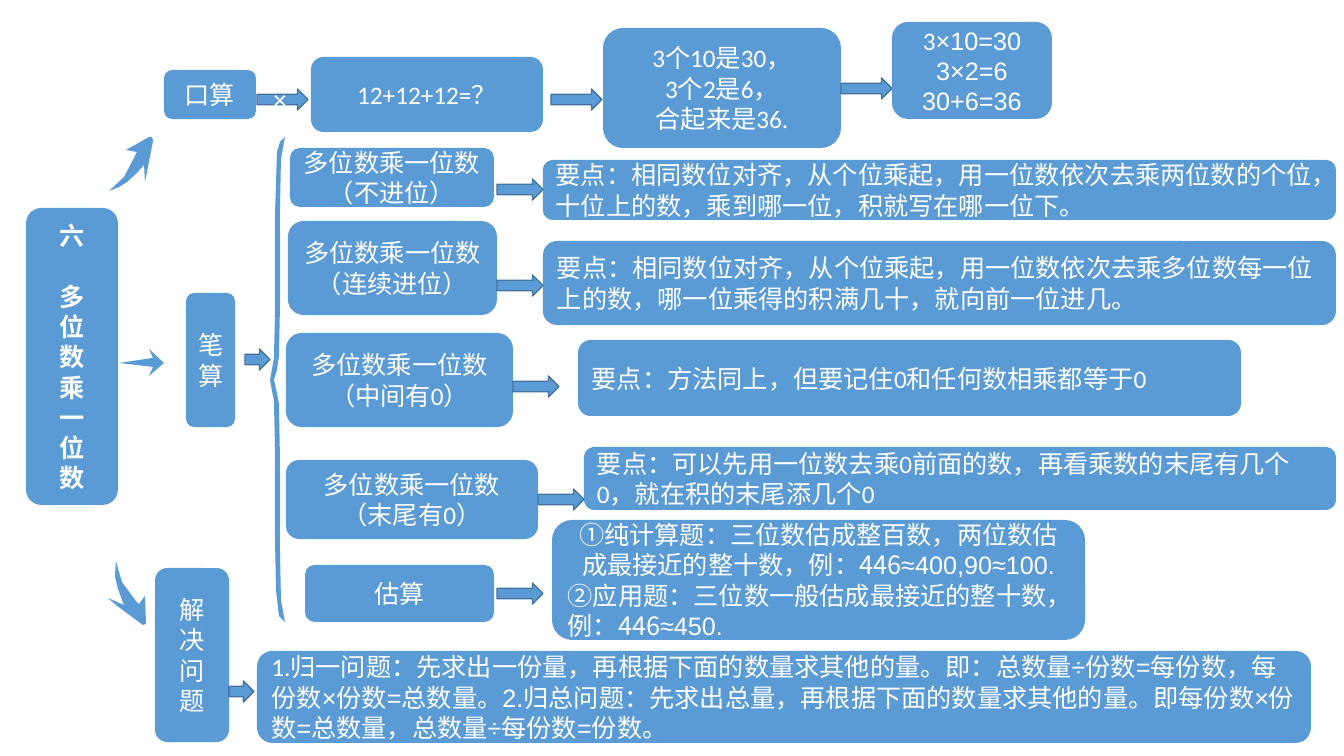
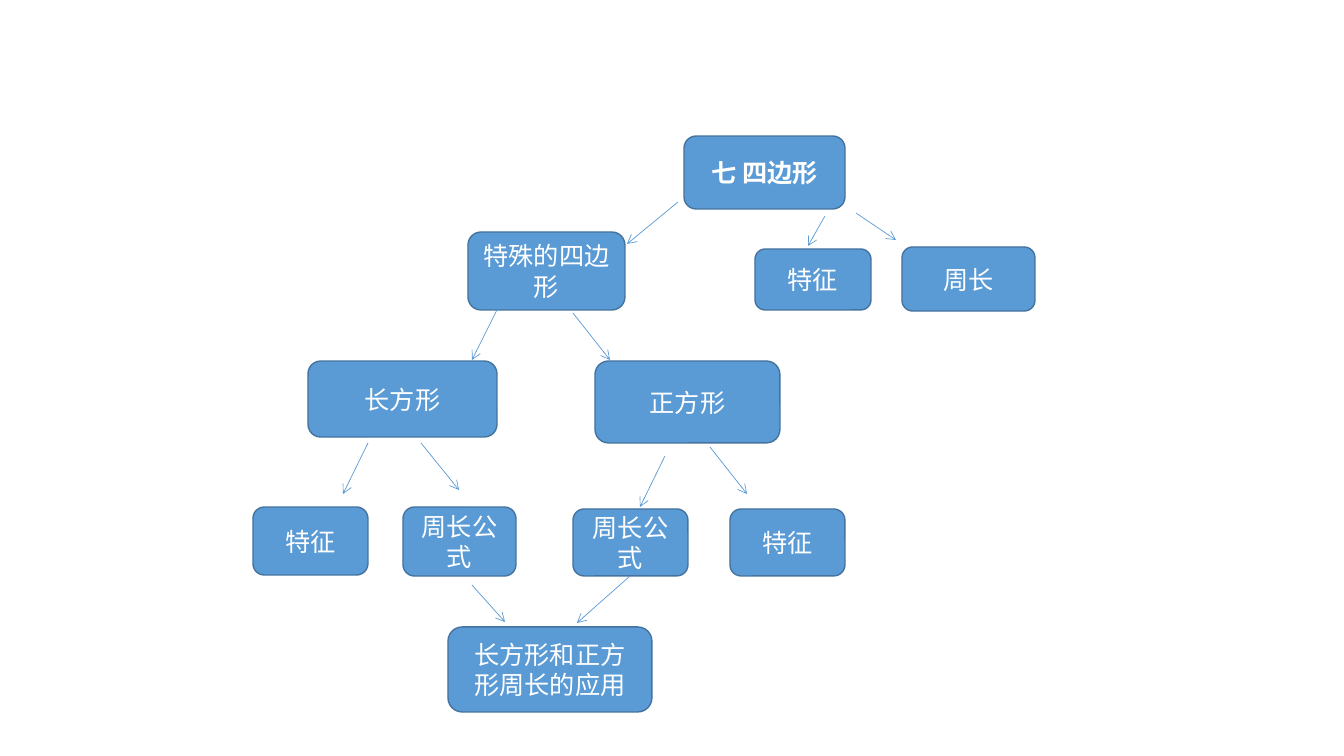
import pptx
import pptx.util
import pptx.dml.color
import pptx.enum.shapes
import pptx.enum.text
import pptx.oxml
import pptx.oxml.ns

PX = 914400 / 100.8
COLORS = {"fill": "5B9BD5", "edge": "43739E", "text": "FFFFFF"}
RGB = {name: pptx.dml.color.RGBColor.from_string(value) for name, value in COLORS.items()}
KINDS = pptx.enum.shapes.MSO_SHAPE
CENTER = pptx.enum.text.PP_ALIGN.CENTER
LEFT = pptx.enum.text.PP_ALIGN.LEFT


def paint(shape, outlined):
    shape.shadow.inherit = False
    shape.fill.solid()
    shape.fill.fore_color.rgb = RGB["fill"]
    if outlined:
        shape.line.color.rgb = RGB["edge"]
        shape.line.width = pptx.util.Pt(1)
    else:
        shape.line.fill.background()


def add_node(slide, kind, at, text="", align=CENTER, outlined=True, bold=False, face="Calibri"):
    node = slide.shapes.add_shape(kind, *[round(length * PX) for length in at])
    paint(node, outlined)
    frame = node.text_frame
    frame.word_wrap = True
    frame.vertical_anchor = pptx.enum.text.MSO_ANCHOR.MIDDLE
    for index, line in enumerate(text.split("\n") if text else []):
        paragraph = frame.add_paragraph() if index else frame.paragraphs[0]
        paragraph.alignment = align
        paragraph.font.size = pptx.util.Pt(18)
        paragraph.font.bold = bold
        paragraph.font.color.rgb = RGB["text"]
        for part, words in enumerate(line.split("|")):
            if words:
                run = paragraph.add_run()
                run.text = words
                run.font.name = "Arial" if part % 2 else face
                run.font.bold = bold
    return node


deck = pptx.Presentation()
deck.slide_width = round(1344 * PX)
deck.slide_height = round(756 * PX)
blank = deck.slide_layouts[6]

multiplication = deck.slides.add_slide(blank)
chapter = add_node(multiplication, KINDS.ROUNDED_RECTANGLE, (26, 208, 92, 297),
                   "\n".join("六多位数乘一位数"), outlined=False, bold=True)
chapter.text_frame.paragraphs[0].space_after = pptx.util.Pt(22)

topics = [
    ((164, 70, 92, 49), "口算"),
    ((311, 57, 232, 75), "12+12+12=？"),
    ((603, 28, 238, 120), "3个10是30，\n3个2是6，\n合起来是36."),
    ((892, 22, 160, 97), "3|×10=30\n|3×2=6\n|30+6=36"),
    ((290, 148, 204, 59), "多位数乘一位数（不进位）"),
    ((288, 221, 209, 94), "多位数乘一位数（连续进位）"),
    ((286, 333, 227, 94), "多位数乘一位数（中间有0）"),
    ((286, 460, 252, 79), "多位数乘一位数（末尾有0）"),
    ((305, 565, 189, 57), "估算"),
    ((186, 293, 49, 134), "笔算"),
    ((155, 568, 74, 174), "解决问题"),
]
for at, text in topics:
    add_node(multiplication, KINDS.ROUNDED_RECTANGLE, at, text, outlined=False)

key_points = [
    ((543, 160, 793, 60),
     "要点：相同数位对齐，从个位乘起，用一位数依次去乘两位数的个位，十位上的数，乘到哪一位，积就写在哪一位下。"),
    ((543, 241, 793, 84),
     "要点：相同数位对齐，从个位乘起，用一位数依次去乘多位数每一位上的数，哪一位乘得的积满几十，就向前一位进几。"),
    ((578, 340, 663, 76), "要点：方法同上，但要记住0和任何数相乘都等于0"),
    ((584, 447, 752, 63), "要点：可以先用一位数去乘0前面的数，再看乘数的末尾有几个0，就在积的末尾添几个0"),
    ((257, 651, 1054, 92),
     "1.归一问题：先求出一份量，再根据下面的数量求其他的量。即：总数量"
     "|÷份数=每份数，每份数×份数=总数量。2.归总问题："
     "|先求出总量，再根据下面的数量求其他的量。即每份数"
     "|×份数=总数量，总数量÷每份数=份数。"),
]
for at, text in key_points:
    add_node(multiplication, KINDS.ROUNDED_RECTANGLE, at, text, LEFT, outlined=False)

estimation = add_node(
    multiplication, KINDS.ROUNDED_RECTANGLE, (552, 520, 533, 120),
    "①纯计算题：三位数估成整百数，两位数估成最接近的整十数，例：446|≈400,90≈100.\n"
    "②应用题：三位数一般估成最接近的整十数，例：446|≈450.",
    outlined=False, face="Noto Sans CJK SC")
estimation.text_frame.paragraphs[1].alignment = LEFT

steps = [
    (257, 89, 51, "|×"), (551, 89, 51, ""), (841, 78, 51, ""),
    (497, 179, 46, ""), (497, 275, 46, ""), (513, 376, 46, ""),
    (538, 489, 46, ""), (497, 583, 46, ""), (245, 349, 25, ""), (229, 681, 25, ""),
]
for left, top, width, sign in steps:
    add_node(multiplication, KINDS.RIGHT_ARROW, (left, top, width, 21), sign)

brace = [(285, 137), (281, 159), (280, 208), (280, 306), (279, 356), (277, 370),
         (274, 380), (277, 393), (279, 404), (280, 459), (280, 551), (281, 600),
         (285, 622), (279, 616), (276, 590), (275, 537), (275, 447), (274, 401),
         (270, 380), (274, 358), (275, 314), (275, 215), (277, 152), (280, 142)]
swoosh_up = [(152, 137), (153, 141), (145, 182), (144, 165), (137, 173), (127, 182),
             (119, 187), (109, 191), (124, 177), (135, 156), (137, 152), (126, 150), (149, 137)]
dart_right = [(149, 349), (164, 363), (149, 376), (153, 367), (119, 363), (153, 358)]
swoosh_down = [(146, 624), (143, 625), (116, 605), (108, 598), (124, 605), (118, 589),
               (115, 576), (116, 561), (122, 582), (136, 601), (139, 604), (145, 596), (146, 622)]
for outline in (brace, swoosh_up, dart_right, swoosh_down):
    builder = multiplication.shapes.build_freeform(*outline[0], scale=PX)
    builder.add_line_segments(outline[1:], close=True)
    paint(builder.convert_to_shape(), False)

quadrilaterals = deck.slides.add_slide(blank)
concepts = [
    ((684, 136, 161, 73), "七 四边形"),
    ((755, 249, 116, 61), "特征"),
    ((902, 247, 133, 64), "周长"),
    ((468, 232, 157, 78), "特殊的四边形"),
    ((308, 361, 189, 76), "长方形"),
    ((595, 361, 185, 82), "正方形"),
    ((253, 507, 115, 68), "特征"),
    ((403, 507, 113, 69), "周长公式"),
    ((730, 509, 115, 67), "特征"),
    ((573, 509, 115, 67), "周长公式"),
    ((448, 627, 204, 85), "长方形和正方形周长的应用"),
]
for index, (at, text) in enumerate(concepts):
    add_node(quadrilaterals, KINDS.FLOWCHART_ALTERNATE_PROCESS, at, text, bold=index == 0)

branches = [
    (856, 213, 896, 240), (825, 216, 808, 246), (678, 202, 627, 244),
    (497, 310, 472, 360), (573, 313, 610, 360), (368, 443, 343, 494),
    (665, 456, 640, 507), (421, 443, 459, 490), (710, 447, 747, 494),
    (472, 585, 505, 622), (630, 576, 577, 623),
]
for ends in branches:
    branch = quadrilaterals.shapes.add_connector(
        pptx.enum.shapes.MSO_CONNECTOR.STRAIGHT, *[round(length * PX) for length in ends])
    branch.line.color.rgb = RGB["fill"]
    branch.line.width = pptx.util.Pt(0.5)
    properties = branch.line._get_or_add_ln()
    tail = pptx.oxml.parse_xml(f'<a:tailEnd {pptx.oxml.ns.nsdecls("a")} type="arrow"/>')
    properties.append(tail)
    properties.addnext(pptx.oxml.parse_xml(f'<a:effectLst {pptx.oxml.ns.nsdecls("a")}/>'))

deck.save("out.pptx")
